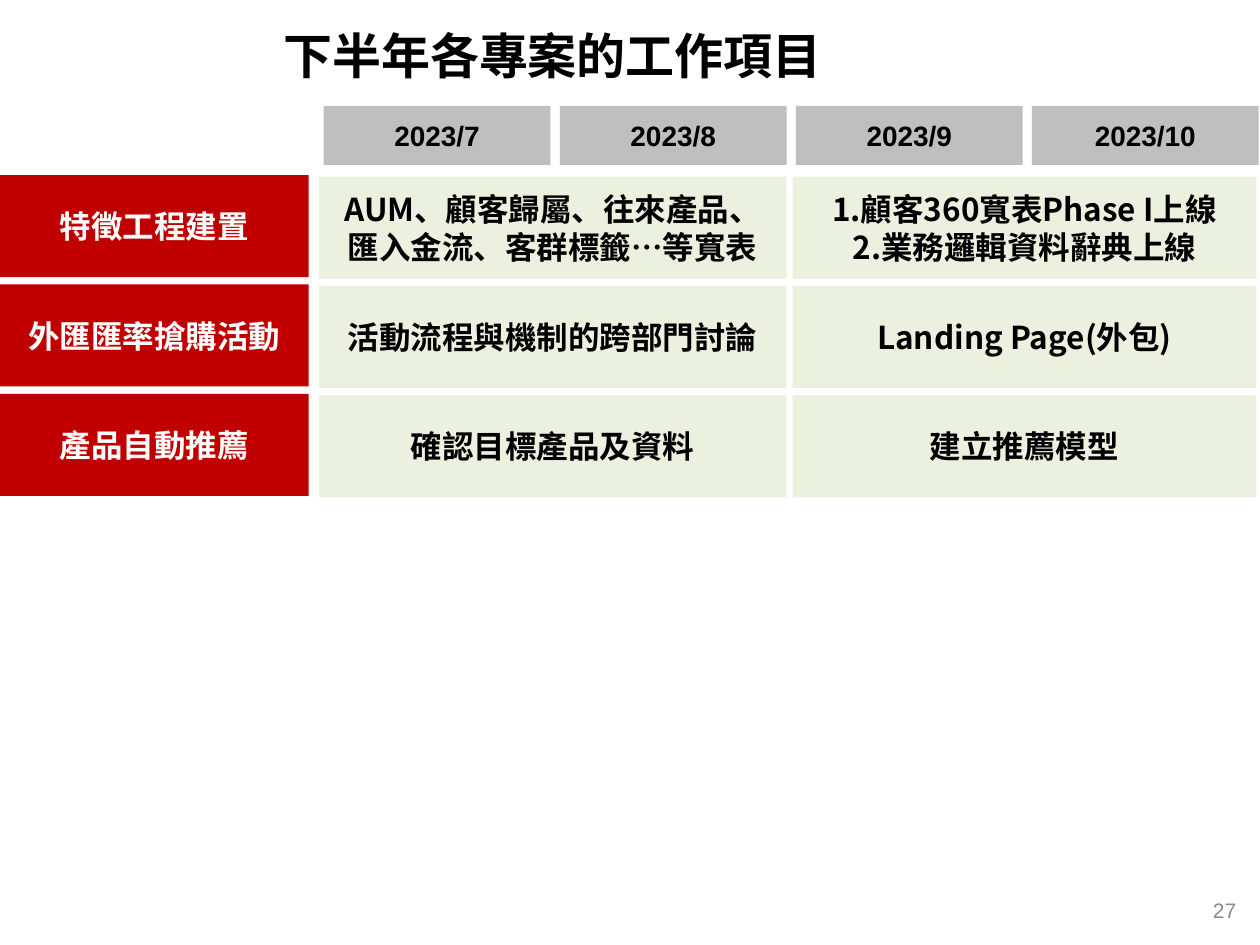
from lxml.etree import SubElement
from pptx import Presentation
from pptx.dml.color import RGBColor
from pptx.enum.shapes import MSO_SHAPE
from pptx.enum.text import MSO_ANCHOR, PP_ALIGN
from pptx.oxml.ns import qn
from pptx.util import Pt

BLACK = RGBColor(0x00, 0x00, 0x00)
WHITE = RGBColor(0xFF, 0xFF, 0xFF)
GRAY = RGBColor(0xBF, 0xBF, 0xBF)
PAGE_GRAY = RGBColor(0x8C, 0x8C, 0x8C)
RED = RGBColor(0xC0, 0x00, 0x00)
PALE_GREEN = RGBColor(0xEB, 0xF1, 0xDE)

LATIN = "Arial"
CJK_TITLE = "Noto Sans CJK SC"
CJK = "Noto Sans CJK TC"

TITLE = "下半年各專案的工作項目"
PAGE_NUMBER = "27"
MONTHS = ["2023/7", "2023/8", "2023/9", "2023/10"]
PROJECTS = [
    ("特徵工程建置",
     "AUM、顧客歸屬、往來產品、\n匯入金流、客群標籤…等寬表",
     "1.顧客360寬表Phase I上線\n2.業務邏輯資料辭典上線"),
    ("外匯匯率搶購活動", "活動流程與機制的跨部門討論", "Landing Page(外包)"),
    ("產品自動推薦", "確認目標產品及資料", "建立推薦模型"),
]

MONTH_LEFT, MONTH_TOP, MONTH_WIDTH, MONTH_HEIGHT = 185, 60.5, 129.6, 33.8
MONTH_PITCH = 134.9
ROW_TOP, ROW_HEIGHT, ROW_PITCH = 100, 58.3, 62.5
# left, width, drop below the row top, fill, text colour, font
COLUMNS = [
    (0, 176.4, 0, RED, WHITE, LATIN),
    (182.2, 267.1, 0.9, PALE_GREEN, BLACK, CJK),
    (452.9, 265, 0.9, PALE_GREEN, BLACK, CJK),
]


def write(shape, text, size, color, font, align, bold=True, east_asian=CJK):
    frame = shape.text_frame
    frame.word_wrap = True
    frame.vertical_anchor = MSO_ANCHOR.MIDDLE
    frame.text = text
    for paragraph in frame.paragraphs:
        paragraph.alignment = align
        for run in paragraph.runs:
            run.font.size = Pt(size)
            run.font.bold = bold
            run.font.name = font
            run.font.color.rgb = color
            SubElement(run.font._element, qn("a:ea"), typeface=east_asian)


def add_label(slide, left, top, width, height, text, size, color, font, align, **style):
    box = slide.shapes.add_textbox(Pt(left), Pt(top), Pt(width), Pt(height))
    write(box, text, size, color, font, align, **style)


def add_block(slide, left, top, width, height, fill, text, size, color, font):
    block = slide.shapes.add_shape(
        MSO_SHAPE.RECTANGLE, Pt(left), Pt(top), Pt(width), Pt(height))
    block.shadow.inherit = False
    block.fill.solid()
    block.fill.fore_color.rgb = fill
    block.line.fill.background()
    write(block, text, size, color, font, PP_ALIGN.CENTER)


def main():
    deck = Presentation()
    deck.slide_width, deck.slide_height = Pt(720), Pt(540)
    slide = deck.slides.add_slide(deck.slide_layouts[6])

    add_label(slide, 551.5, 505.5, 162, 28.8, PAGE_NUMBER, 12, PAGE_GRAY, LATIN,
              PP_ALIGN.RIGHT, bold=False)
    add_label(slide, 154.8, 6.5, 548.6, 49.7, TITLE, 28, BLACK, CJK_TITLE,
              PP_ALIGN.LEFT, east_asian=CJK_TITLE)

    for index, month in enumerate(MONTHS):
        add_block(slide, MONTH_LEFT + index * MONTH_PITCH, MONTH_TOP,
                  MONTH_WIDTH, MONTH_HEIGHT, GRAY, month, 16, BLACK, LATIN)

    for row, project in enumerate(PROJECTS):
        top = ROW_TOP + row * ROW_PITCH
        for text, (left, width, drop, fill, color, font) in zip(project, COLUMNS):
            add_block(slide, left, top + drop, width, ROW_HEIGHT,
                      fill, text, 18, color, font)

    deck.save("out.pptx")


if __name__ == "__main__":
    main()
